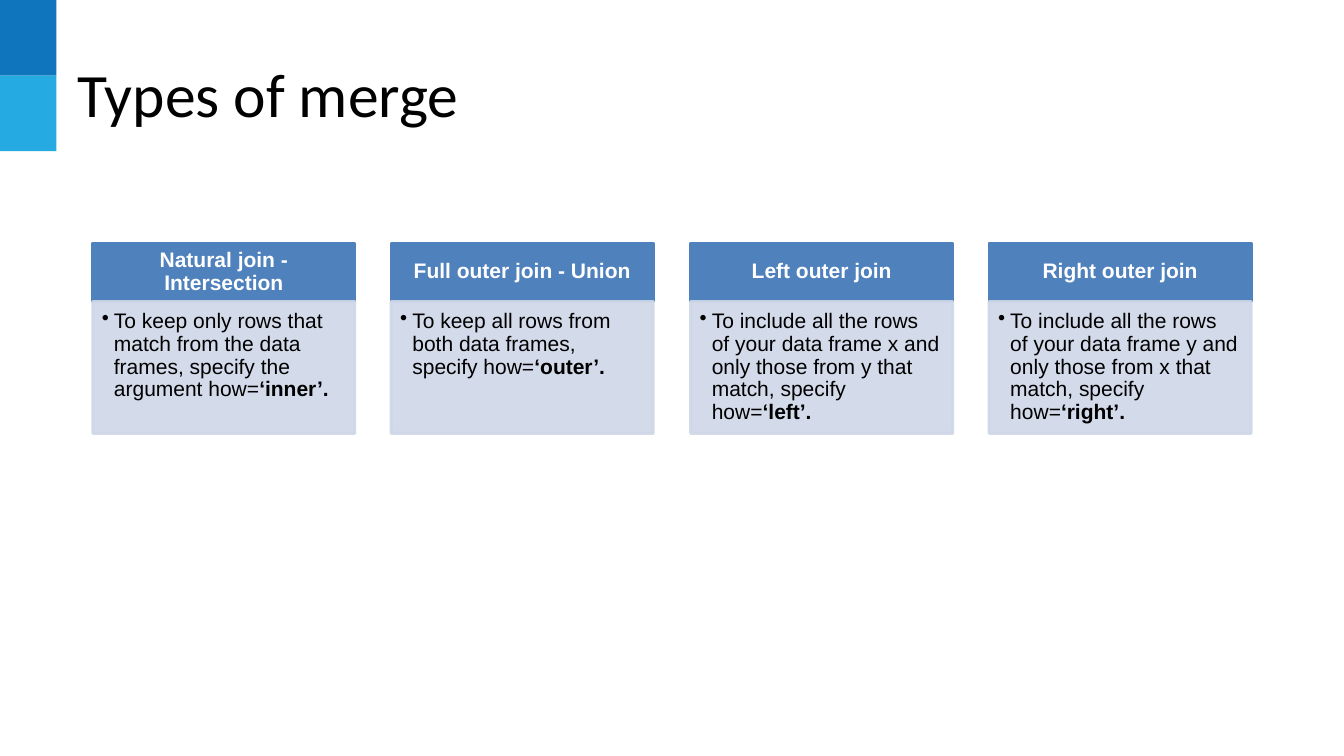
"""Build the slide on the types of merge, one card for each join."""
from lxml import etree
from pptx import Presentation
from pptx.dml.color import RGBColor
from pptx.enum.shapes import MSO_SHAPE
from pptx.enum.text import MSO_ANCHOR, PP_ALIGN
from pptx.oxml.ns import qn
from pptx.util import Pt

RECT = MSO_SHAPE.RECTANGLE
MIDDLE, TOP = MSO_ANCHOR.MIDDLE, MSO_ANCHOR.TOP
LEFT, CENTER = PP_ALIGN.LEFT, PP_ALIGN.CENTER
PX = 9144
HEAD, BODY = "4F81BD", "CFD7E7"
BLACK, WHITE = "000000", "FFFFFF"


def paint(fill, color, alpha=100):
    fill.solid()
    fill.fore_color.rgb = RGBColor.from_string(color)
    if alpha < 100:
        for node in fill._xPr.iter(qn("a:srgbClr")):
            etree.SubElement(node, qn("a:alpha"), val=str(alpha * 1000))


def write(shape, runs, face, size, color, align, anchor, inset):
    frame = shape.text_frame
    frame.word_wrap = True
    frame.vertical_anchor = anchor
    (frame.margin_left, frame.margin_top,
     frame.margin_right, frame.margin_bottom) = [n * PX for n in inset]
    para = frame.paragraphs[0]
    para.alignment = align
    for text, bold in runs:
        run = para.add_run()
        run.text = text
        run.font.name, run.font.size, run.font.bold = face, Pt(size), bold
        paint(run.font.fill, color)
    return para


deck = Presentation()
deck.slide_width, deck.slide_height = 1333 * PX, 750 * PX
slide = deck.slides.add_slide(deck.slide_layouts[5])
shapes = slide.shapes

for row, color in enumerate(["0F75BD", "25AAE2"]):
    block = shapes.add_shape(RECT, 0, row * 75 * PX, 56 * PX, 75 * PX)
    block.shadow.inherit = False
    paint(block.fill, color)
    block.line.fill.background()

title = shapes.title
title.left, title.top, title.width, title.height = [
    n * PX for n in (67, 30, 1200, 125)]
write(title, [("Types of merge", False)], "Calibri", 44, BLACK,
      LEFT, MIDDLE, (10, 5, 10, 5))

joins = [
    ("Natural join - Intersection",
     "To keep only rows that match from the data frames, "
     "specify the argument how=", "‘inner’."),
    ("Full outer join - Union",
     "To keep all rows from both data frames, specify how=", "‘outer’."),
    ("Left outer join",
     "To include all the rows of your data frame x and only those "
     "from y that match, specify how=", "‘left’."),
    ("Right outer join",
     "To include all the rows of your data frame y and only those "
     "from x that match, specify how=", "‘right’."),
]
for col, (name, text, value) in enumerate(joins):
    left = round(92 + col * 296.4)
    parts = [
        (241, 58, HEAD, 100, [(name, True)], WHITE, CENTER, MIDDLE,
         (12, 7, 12, 7)),
        (299, 131, BODY, 90, [(text, False), (value, True)], BLACK, LEFT, TOP,
         (9, 9, 12, 13)),
    ]
    for top, high, color, alpha, runs, ink, align, anchor, inset in parts:
        box = shapes.add_shape(RECT, left * PX, top * PX, 260 * PX, high * PX)
        box.shadow.inherit = False
        paint(box.fill, color, alpha)
        paint(box.line.fill, color, alpha)
        box.line.width = Pt(2)
        para = write(box, runs, "Arial", 15, ink, align, anchor, inset)
        para.line_spacing = 0.9
    props = para._p.get_or_add_pPr()
    props.set("marL", str(12 * PX))
    props.set("indent", str(-12 * PX))
    etree.SubElement(props, qn("a:buChar"), char="•")

deck.save("out.pptx")
